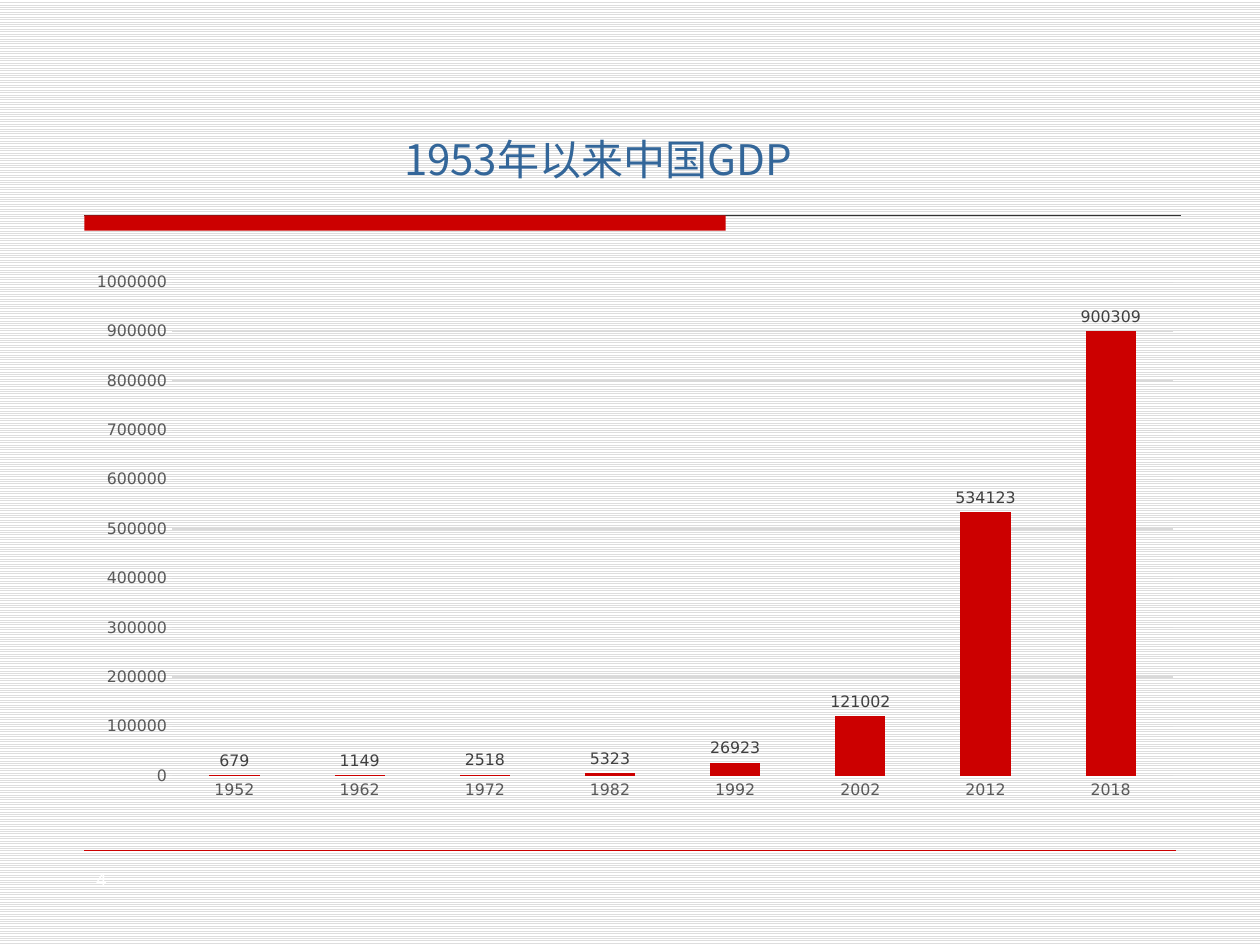
from dataclasses import dataclass

from lxml.etree import SubElement
from pptx import Presentation
from pptx.chart.data import CategoryChartData
from pptx.dml.color import RGBColor
from pptx.enum.chart import XL_CHART_TYPE as ChartType, XL_LABEL_POSITION as LabelPosition
from pptx.enum.chart import XL_TICK_MARK as TickMark
from pptx.enum.dml import MSO_PATTERN as Pattern
from pptx.enum.shapes import MSO_CONNECTOR as Connector, MSO_SHAPE as Shape
from pptx.enum.text import MSO_ANCHOR as Anchor, PP_ALIGN as Align
from pptx.oxml.ns import qn
from pptx.slide import Slide
from pptx.util import Inches, Pt

COLORS = {
    "red": "CC0000", "rule": "333333", "title": "336699", "stripe": "DDDDDD",
    "white": "FFFFFF", "axis": "595959", "label": "404040", "grid": "D9D9D9",
    "black": "000000",
}
TITLE_FONT = "Noto Sans CJK SC"
CHART_FONT = "DejaVu Sans"
LEFT, RULE_TOP = 0.67, 1.71
GDP = {
    "1952": 679, "1962": 1149, "1972": 2518, "1982": 5323,
    "1992": 26923, "2002": 121002, "2012": 534123, "2018": 900309,
}


@dataclass
class Rule:
    right: float
    top: float
    color: str
    width: float


@dataclass
class Caption:
    text: str
    box: tuple[float, float, float, float]
    size: float
    color: str
    align: Align


RULES = [Rule(9.37, RULE_TOP, "rule", 0.75), Rule(9.33, 6.75, "red", 0.25)]
CAPTIONS = [
    Caption("1953年以来中国GDP", (2.09, 1.06, 5.31, 0.4), 24, "title", Align.CENTER),
    Caption("4", (0.77, 6.86, 1, 0.25), 11, "white", Align.LEFT),
]


def rgb(name: str) -> RGBColor:
    return RGBColor.from_string(COLORS[name])


def set_attributes(target, values: dict) -> None:
    for name, value in values.items():
        setattr(target, name, value)


def style_font(font, name: str, size: float, color: str) -> None:
    set_attributes(font, {"name": name, "size": Pt(size)})
    font.color.rgb = rgb(color)


def paint_background(slide: Slide) -> None:
    fill = slide.background.fill
    fill.patterned()
    fill.pattern = Pattern.LIGHT_HORIZONTAL
    fill.fore_color.rgb = rgb("stripe")
    fill.back_color.rgb = rgb("white")


def draw_rule(slide: Slide, rule: Rule) -> None:
    line = slide.shapes.add_connector(
        Connector.STRAIGHT, Inches(LEFT), Inches(rule.top), Inches(rule.right), Inches(rule.top)
    )
    line.line.color.rgb = rgb(rule.color)
    line.line.width = Pt(rule.width)
    SubElement(line._element.spPr, qn("a:effectLst"))


def draw_title_bar(slide: Slide) -> None:
    bar = slide.shapes.add_shape(
        Shape.RECTANGLE, Inches(LEFT), Inches(RULE_TOP), Inches(5.09), Inches(0.12)
    )
    bar.shadow.inherit = False
    bar.fill.solid()
    bar.fill.fore_color.rgb = rgb("red")
    bar.line.fill.background()


def draw_caption(slide: Slide, caption: Caption) -> None:
    frame = slide.shapes.add_textbox(*map(Inches, caption.box)).text_frame
    set_attributes(frame, {
        "word_wrap": True, "vertical_anchor": Anchor.MIDDLE,
        "margin_left": 0, "margin_right": 0, "margin_top": 0, "margin_bottom": 0,
    })
    paragraph = frame.paragraphs[0]
    paragraph.alignment = caption.align
    run = paragraph.add_run()
    run.text = caption.text
    style_font(run.font, TITLE_FONT, caption.size, caption.color)
    SubElement(run._r.get_or_add_rPr(), qn("a:ea"), typeface=TITLE_FONT)


def draw_gdp_chart(slide: Slide) -> None:
    data = CategoryChartData()
    data.categories = list(GDP)
    data.add_series("Series 1", list(GDP.values()))
    chart = slide.shapes.add_chart(
        ChartType.COLUMN_CLUSTERED, Inches(0.59), Inches(2.08), Inches(8.9), Inches(4.35), data
    ).chart
    set_attributes(chart, {"has_legend": False, "has_title": False})
    style_font(chart.font, CHART_FONT, 10, "black")

    for axis in (chart.category_axis, chart.value_axis):
        set_attributes(axis, {"major_tick_mark": TickMark.NONE, "minor_tick_mark": TickMark.NONE})
        axis.format.line.fill.background()
        style_font(axis.tick_labels.font, CHART_FONT, 9, "axis")
    set_attributes(chart.value_axis, {
        "minimum_scale": 0, "maximum_scale": 1000000, "major_unit": 100000,
        "has_major_gridlines": True,
    })
    grid = chart.value_axis.major_gridlines.format.line
    grid.color.rgb = rgb("grid")
    grid.width = Pt(0.75)

    plot = chart.plots[0]
    set_attributes(plot, {"gap_width": 150, "vary_by_categories": False})
    columns = plot.series[0]
    columns.format.fill.solid()
    columns.format.fill.fore_color.rgb = rgb("red")
    labels = columns.data_labels
    set_attributes(labels, {"show_value": True, "position": LabelPosition.OUTSIDE_END})
    style_font(labels.font, CHART_FONT, 9, "label")


def main() -> None:
    presentation = Presentation()
    set_attributes(presentation, {"slide_width": Inches(10), "slide_height": Inches(7.5)})
    slide = presentation.slides.add_slide(presentation.slide_layouts[6])
    paint_background(slide)
    for rule in RULES:
        draw_rule(slide, rule)
    draw_title_bar(slide)
    for caption in CAPTIONS:
        draw_caption(slide, caption)
    draw_gdp_chart(slide)
    presentation.save("out.pptx")


if __name__ == "__main__":
    main()
